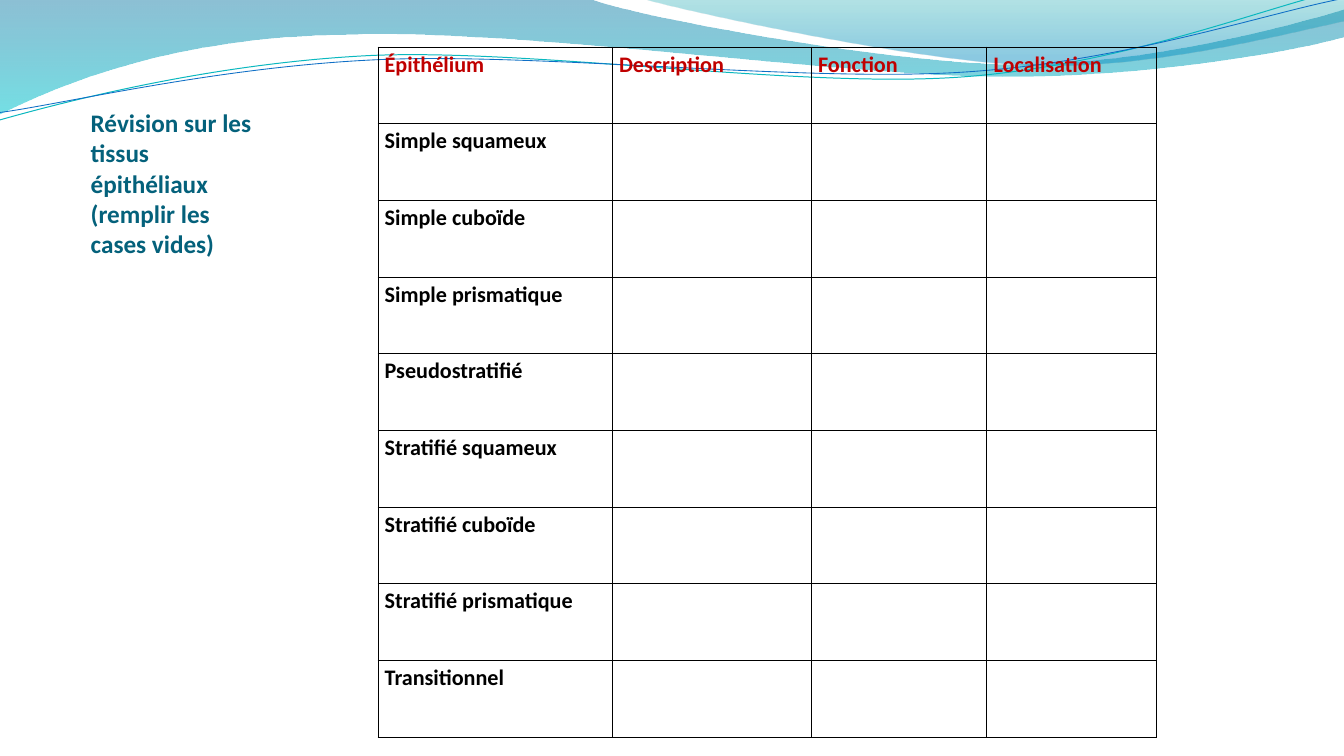
import pptx
import pptx.util
import pptx.dml.color
import pptx.enum.text
import pptx.oxml
import pptx.oxml.ns

Inches = pptx.util.Inches
Pt = pptx.util.Pt
qn = pptx.oxml.ns.qn
RGB = pptx.dml.color.RGBColor.from_string
SPACE = f'xmlns:a="{pptx.oxml.ns.nsuri("a")}"'
COLORS = {
    "deep": "0074A1", "aqua": "00C6CF", "teal": "00A1A9", "sky": "008BBF",
    "cyan": "0AB8BF", "blue": "0F6FC6", "title": "04617B",
    "head": "C00000", "text": "000000",
}

deck = pptx.Presentation()
deck.slide_width = Inches(16)
deck.slide_height = Inches(9)
slide = deck.slides.add_slide(deck.slide_layouts[6])


def draw(start, parts, closed):
    spots = [(Inches(part[i]), Inches(part[i + 1]))
             for part in parts for i in range(0, len(part), 2)]
    pen = slide.shapes.build_freeform(Inches(start[0]), Inches(start[1]))
    pen.add_line_segments(spots, close=closed)
    shape = pen.convert_to_shape()
    shape.shadow.inherit = False
    lines = iter(list(shape._element.iter(qn("a:lnTo"))))
    for part in parts:
        group = [next(lines) for _ in range(len(part) // 2)]
        if len(group) == 3:
            bend = pptx.oxml.parse_xml(f"<a:cubicBezTo {SPACE}/>")
            group[0].addprevious(bend)
            for line in group:
                bend.append(line[0])
                line.getparent().remove(line)
    return shape


def write(para, words, size, color):
    run = para.add_run()
    run.text = words
    run.font.name = "Calibri"
    run.font.size = Pt(size)
    run.font.bold = True
    run.font.color.rgb = RGB(COLORS[color])


waves = [
    ((0, -0.01),
     [(7.04, -0.01), (7.61, 0.2, 10.62, 0.76, 12.13, 0.76),
      (13.65, 0.76, 15.33, 0.31, 16, 0.11), (16.02, 0.43),
      (15.73, 0.53, 13.92, 0.91, 11.93, 0.91),
      (9.95, 0.9, 6.11, 0.33, 4.12, 0.41),
      (2.07, 0.43, 0.73, 0.99, -0.02, 1.36), (0, -0.01)],
     [("deep", 0, 45), ("aqua", 1, 55)]),
    ((7.67, -0.01),
     [(8.15, 0.13, 10.91, 0.74, 12.3, 0.78),
      (13.69, 0.83, 15.38, 0.38, 16, 0.25), (16, 0), (7.67, -0.01)],
     [("teal", 0, 30), ("sky", 0.8, 45)]),
]
for start, parts, stops in waves:
    wave = draw(start, parts, True)
    wave.line.fill.background()
    wave.fill.gradient()
    wave.fill.gradient_angle = 270
    for stop, (color, place, alpha) in zip(wave.fill.gradient_stops, stops):
        stop.color.rgb = RGB(COLORS[color])
        stop.position = place
    tints = list(wave._element.spPr.iter(qn("a:srgbClr")))
    for tint, (color, place, alpha) in zip(tints, stops):
        tint.append(pptx.oxml.parse_xml(f'<a:alpha {SPACE} val="{alpha * 1000}"/>'))

curves = [
    ((-0.01, 1.43),
     [(0.77, 1.21, 2.53, 0.75, 4.43, 0.66), (6.33, 0.58, 9.47, 1.05, 11.4, 0.92),
      (13.32, 0.79, 15.02, 0.1, 15.97, -0.12)], "cyan", 0.85),
    ((0, 1.34),
     [(0.75, 1.24, 2.62, 0.79, 4.53, 0.71), (6.44, 0.63, 9.55, 0.98, 11.46, 0.86),
      (13.38, 0.74, 15.06, 0.16, 16, -0.02)], "blue", 0.75),
]
for start, parts, color, width in curves:
    curve = draw(start, parts, False)
    curve.fill.background()
    curve.line.color.rgb = RGB(COLORS[color])
    curve.line.width = Pt(width)

title = slide.shapes.add_textbox(Inches(1.08), Inches(2.28), Inches(2.09), Inches(0.8))
frame = title.text_frame
frame.word_wrap = True
frame.vertical_anchor = pptx.enum.text.MSO_ANCHOR.BOTTOM
frame.margin_left = frame.margin_right = frame.margin_bottom = 0
frame.margin_top = Inches(0.07)
write(frame.paragraphs[0],
      "Révision sur les tissus épithéliaux (remplir les cases vides)", 21.6, "title")

heads = ["Épithélium", "Description", "Fonction", "Localisation"]
kinds = ["Simple squameux", "Simple cuboïde", "Simple prismatique",
         "Pseudostratifié", "Stratifié squameux", "Stratifié cuboïde",
         "Stratifié prismatique", "Transitionnel"]
rows = [heads] + [[kind, "", "", ""] for kind in kinds]
widths = [2.79, 2.37, 2.09, 2.02]
table = slide.shapes.add_table(len(rows), len(heads), Inches(4.5), Inches(0.56),
                               Inches(sum(widths)), Inches(8.22)).table
table.horz_banding = False
for col, width in zip(table.columns, widths):
    col.width = Inches(width)
for r, row in enumerate(rows):
    for c, words in enumerate(row):
        cell = table.cell(r, c)
        cell.margin_left = cell.margin_right = Inches(0.08)
        cell.margin_top = cell.margin_bottom = 0
        if words:
            para = cell.text_frame.paragraphs[0]
            para.line_spacing = 1.15
            write(para, words, 19, "text" if r else "head")
        props = cell._tc.get_or_add_tcPr()
        for side in ("lnL", "lnR", "lnT", "lnB"):
            props.append(pptx.oxml.parse_xml(
                f'<a:{side} {SPACE} w="{Pt(1)}"><a:solidFill>'
                f'<a:srgbClr val="{COLORS["text"]}"/></a:solidFill></a:{side}>'))
        cell.fill.background()

deck.save("out.pptx")
